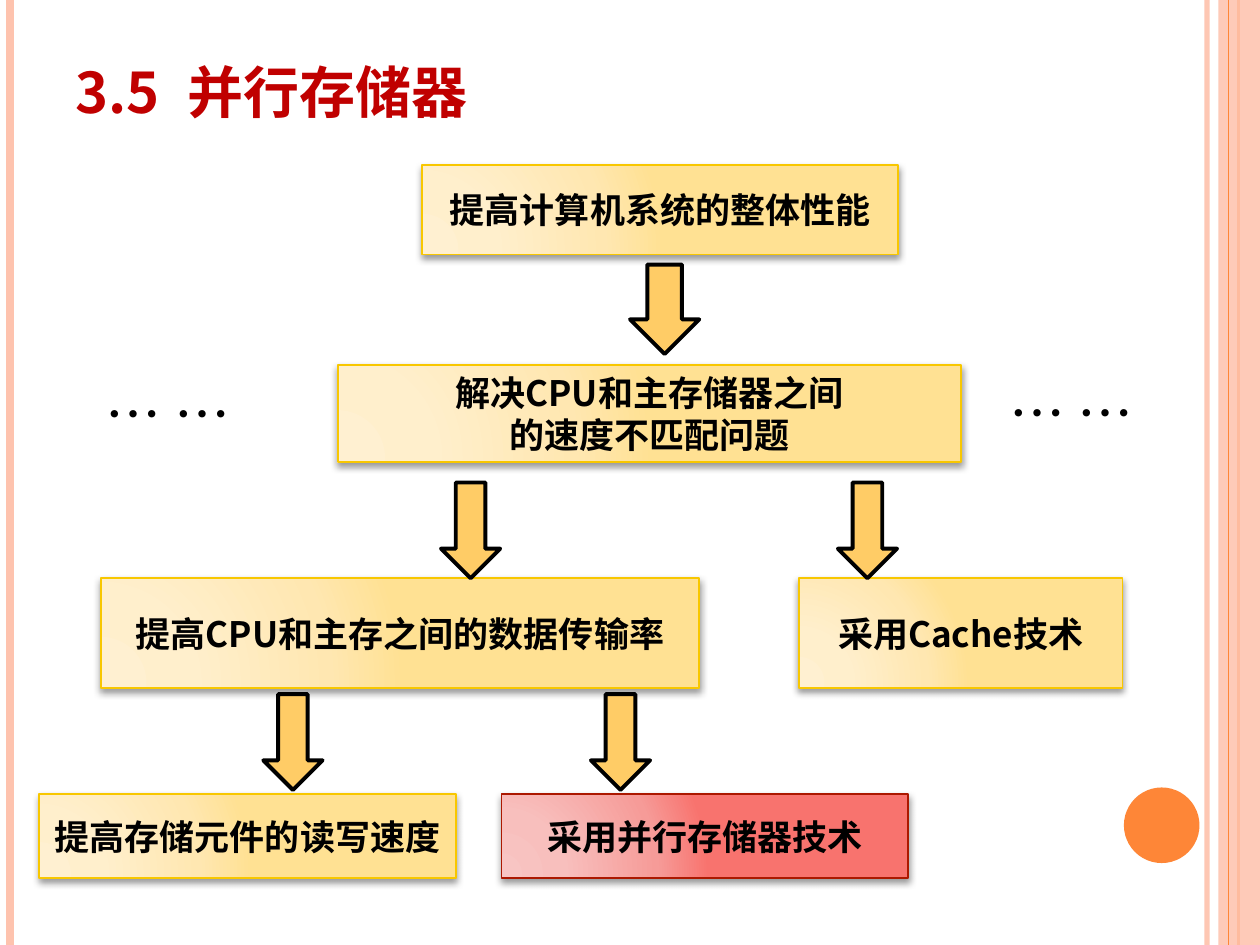
from lxml import etree
from pptx import Presentation
from pptx import util as u
from pptx.dml.color import RGBColor
from pptx.enum import shapes, text
from pptx.oxml.ns import qn

WIDTH, HEIGHT = 10, 7.5
SANS, SERIF = "Noto Sans CJK SC", "TeX Gyre Schola"
BLACK = RGBColor(0, 0, 0)
RED = RGBColor(0xC0, 0, 0)
SLATE = RGBColor(0x57, 0x5F, 0x6D)
PEACH = RGBColor(0xFE, 0xC3, 0xAE)
ORANGE = RGBColor(0xFE, 0x86, 0x37)
ARROW = RGBColor(0xFF, 0xCC, 0x66)
GOLD_EDGE = RGBColor(0xF8, 0xC7, 0)
RED_EDGE = RGBColor(0xAC, 0x18, 0)
GOLD_STOPS = ("FFF0D1", "FFEFCC", "FFE7B1", "FFE193")
RED_STOPS = ("F8C5C3", "F8BFBD", "F69B98", "F8736E")
STOP_SHARES = (0, 30, 75, 100)

TITLE = [("3.5 ", dict(size=32, color=RED, bold=True)),
         (" ", dict(size=30, color=SLATE, font=SERIF)),
         ("并行存储器", dict(size=32, color=RED, bold=True))]

# Each level: top, height, boxes (left, width, lines, highlighted)
LEVELS = [
    (1.31, 0.71, [(3.35, 3.78, ["提高计算机系统的整体性能"], False)]),
    (2.9, 0.77, [(2.68, 4.95, ["解决CPU和主存储器之间", "的速度不匹配问题"], False)]),
    (4.59, 0.87, [(0.8, 4.75, ["提高CPU和主存之间的数据传输率"], False),
                  (6.34, 2.57, ["采用Cache技术"], False)]),
    (6.3, 0.67, [(0.31, 3.31, ["提高存储元件的读写速度"], False),
                 (3.98, 3.23, ["采用并行存储器技术"], True)]),
]
# Arrows between levels: top, width, height, left edges
ARROW_ROWS = [(2.1, 0.55, 0.71, [5]),
              (3.83, 0.47, 0.76, [3.5, 6.65]),
              (5.51, 0.47, 0.76, [2.09, 4.69])]
ELLIPSES = [(0.35, 2.96), (7.52, 2.95)]
# Vertical rules: x, colour, points, opacity
RULES_BEHIND = [(9.58, PEACH, 3, 93), (0.08, PEACH, 4.5, 100), (9.83, ORANGE, 1.5, 100)]
RULES_FRONT = [(9.75, ORANGE, 0.75, 100)]


def inches(*lengths):
    return [u.Inches(length) for length in lengths]


def add_xml(parent, tag, **attributes):
    return etree.SubElement(parent, qn(tag), {k: str(v) for k, v in attributes.items()})


def set_opacity(owner, percent):
    for color in owner.iter(qn("a:srgbClr")):
        add_xml(color, "a:alpha", val=percent * 1000)


def add_run(paragraph, words, size=20, color=BLACK, bold=False, font=SANS):
    run = paragraph.add_run()
    run.text = words
    run.font.size, run.font.bold, run.font.name = u.Pt(size), bold, font
    run.font.color.rgb = color
    add_xml(run.font._element, "a:ea", typeface=font)


def write(shape, paragraphs, align=text.PP_ALIGN.CENTER):
    """Fill a shape with paragraphs, each a list of (words, format) runs."""
    frame = shape.text_frame
    frame.word_wrap = True
    frame.vertical_anchor = text.MSO_ANCHOR.MIDDLE
    for i, runs in enumerate(paragraphs):
        paragraph = frame.add_paragraph() if i else frame.paragraphs[0]
        paragraph.alignment = align
        for words, style in runs:
            add_run(paragraph, words, **style)


def add_preset(slide, preset, place, fill=None, edge=None, points=1):
    shape = slide.shapes.add_shape(preset, *inches(*place))
    shape.shadow.inherit = False
    if fill is not None:
        shape.fill.solid()
        shape.fill.fore_color.rgb = fill
    if edge is None:
        shape.line.fill.background()
    else:
        shape.line.color.rgb = edge
        shape.line.width = u.Pt(points)
    return shape


def add_rule(slide, x, color, points, opacity):
    rule = slide.shapes.add_connector(shapes.MSO_CONNECTOR.STRAIGHT, *inches(x, 0, x, HEIGHT))
    rule.line.color.rgb = color
    rule.line.width = u.Pt(points)
    properties = rule._element.spPr
    if opacity < 100:
        set_opacity(properties, opacity)
    add_xml(properties, "a:effectLst")


def add_glow_box(slide, place, lines, highlighted):
    """Box with a radial gradient and a soft shadow below."""
    box = add_preset(slide, shapes.MSO_SHAPE.RECTANGLE, place,
                     edge=RED_EDGE if highlighted else GOLD_EDGE)
    box.fill.gradient()
    properties = box._element.spPr
    gradient = properties.find(qn("a:gradFill"))
    gradient.clear()
    stops = add_xml(gradient, "a:gsLst")
    for share, color in zip(STOP_SHARES, RED_STOPS if highlighted else GOLD_STOPS):
        add_xml(add_xml(stops, "a:gs", pos=share * 1000), "a:srgbClr", val=color)
    radial = add_xml(gradient, "a:path", path="circle")
    add_xml(radial, "a:fillToRect", l=5000, t=100000, r=120000, b=10000)
    shadow = add_xml(properties.find(qn("a:effectLst")), "a:outerShdw", blurRad=u.Pt(4),
                     dist=u.Pt(2), dir=90 * 60000, rotWithShape=0)
    add_xml(shadow, "a:srgbClr", val="000000")
    set_opacity(shadow, 40)
    write(box, [[(line, dict(bold=True))] for line in lines])


def main():
    deck = Presentation()
    deck.slide_width, deck.slide_height = inches(WIDTH, HEIGHT)
    slide = deck.slides.add_slide(deck.slide_layouts[6])

    for rule in RULES_BEHIND:
        add_rule(slide, *rule)
    band = add_preset(slide, shapes.MSO_SHAPE.RECTANGLE, (9.67, 0, 0.33, HEIGHT), PEACH)
    set_opacity(band._element.spPr, 87)
    for rule in RULES_FRONT:
        add_rule(slide, *rule)
    add_preset(slide, shapes.MSO_SHAPE.OVAL, (8.92, 6.25, 0.6, 0.6), ORANGE)

    title = slide.shapes.add_textbox(*inches(0.5, 0.3, 8.17, 0.85))
    write(title, [TITLE], align=text.PP_ALIGN.LEFT)

    for top, height, boxes in LEVELS:
        for left, width, lines, highlighted in boxes:
            add_glow_box(slide, (left, top, width, height), lines, highlighted)
    for left, top in ELLIPSES:
        ellipsis = slide.shapes.add_textbox(*inches(left, top, 1.97, 0.64))
        write(ellipsis, [[("… …", dict(size=32))]])
    for top, width, height, lefts in ARROW_ROWS:
        for left in lefts:
            add_preset(slide, shapes.MSO_SHAPE.DOWN_ARROW, (left, top, width, height),
                       ARROW, BLACK, 2.25)

    deck.save("out.pptx")


if __name__ == "__main__":
    main()
